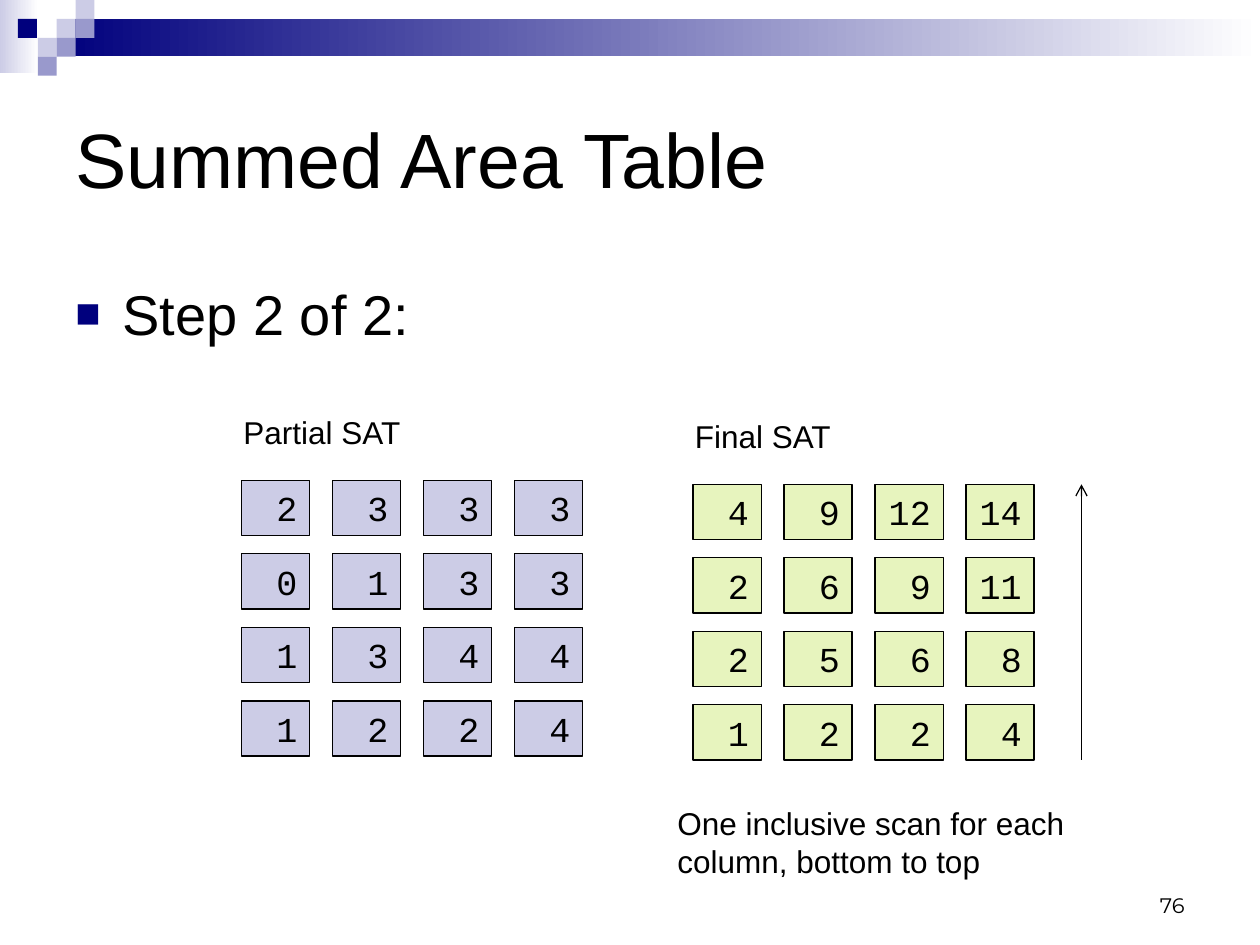
from lxml import etree
from pptx import Presentation
from pptx.dml.color import RGBColor
from pptx.enum.shapes import MSO_CONNECTOR, MSO_SHAPE
from pptx.enum.text import MSO_ANCHOR, PP_ALIGN
from pptx.oxml.ns import qn
from pptx.util import Pt

RECTANGLE = MSO_SHAPE.RECTANGLE
STRAIGHT = MSO_CONNECTOR.STRAIGHT
TOP, MIDDLE, BOTTOM = MSO_ANCHOR.TOP, MSO_ANCHOR.MIDDLE, MSO_ANCHOR.BOTTOM
LEFT, RIGHT = PP_ALIGN.LEFT, PP_ALIGN.RIGHT

BLACK, WHITE = "000000", "FFFFFF"
NAVY, PERIWINKLE, LAVENDER, LIME = "00007D", "9999CC", "CCCCE6", "E7F4BE"
CELL_WIDTH, CELL_HEIGHT = 39, 31.5
COLUMN_STEP, ROW_STEP = 52, 42
GRID_WIDTH = 3 * COLUMN_STEP + CELL_WIDTH
GRID_HEIGHT = 3 * ROW_STEP + CELL_HEIGHT

PARTIAL_SUMS = [[2, 3, 3, 3], [0, 1, 3, 3], [1, 3, 4, 4], [1, 2, 2, 4]]
FINAL_SUMS = [[4, 9, 12, 14], [2, 6, 9, 11], [2, 5, 6, 8], [1, 2, 2, 4]]


def color(hex_value):
    return RGBColor.from_string(hex_value)


def block(slide, box, fill, fade_to=None):
    rect = slide.shapes.add_shape(RECTANGLE, *map(Pt, box))
    rect.shadow.inherit = False
    rect.line.fill.background()
    if fade_to:
        rect.fill.gradient()
        rect.fill.gradient_angle = 0
        for stop, shade in zip(rect.fill.gradient_stops, (fill, fade_to)):
            stop.color.rgb = color(shade)
    else:
        rect.fill.solid()
        rect.fill.fore_color.rgb = color(fill)
    return rect


def write(holder, words, size, font="Arial", align=LEFT, anchor=TOP, wrap=True):
    frame = holder.text_frame
    frame.text = words
    frame.word_wrap = wrap
    frame.vertical_anchor = anchor
    for paragraph in frame.paragraphs:
        paragraph.alignment = align
        for run in paragraph.runs:
            run.font.size = Pt(size)
            run.font.name = font
            run.font.color.rgb = color(BLACK)
    return frame


def label(slide, box, words, size, **style):
    return write(slide.shapes.add_textbox(*map(Pt, box)), words, size, **style)


def banner(slide, left, top, width):
    unit = 10.8
    block(slide, (left, top, 22, 42), LAVENDER, WHITE)
    block(slide, (left + 3 * unit, top + unit, width - 3 * unit, 21.5), NAVY, WHITE)
    tiles = [(3, 1, LAVENDER), (4, 0, LAVENDER), (4, 1, PERIWINKLE), (2, 2, LAVENDER),
             (0.95, 1, NAVY), (3, 2, PERIWINKLE), (2, 3, PERIWINKLE)]
    for column, row, fill in tiles:
        block(slide, (left + column * unit, top + row * unit, unit, unit), fill)


def step_bullet(slide, box, words):
    step = label(slide, box, words, 32).paragraphs[0]
    step.space_before = Pt(6.4)
    properties = step._p.get_or_add_pPr()
    properties.set("marL", str(Pt(27)))
    properties.set("indent", str(-Pt(27)))
    bullet_color = etree.SubElement(properties, qn("a:buClr"))
    etree.SubElement(bullet_color, qn("a:srgbClr"), val=NAVY)
    etree.SubElement(properties, qn("a:buSzPct"), val="75000")
    etree.SubElement(properties, qn("a:buFont"), typeface="Arial")
    etree.SubElement(properties, qn("a:buChar"), char="■")


def sum_grid(slide, left, top, heading, sums, fill):
    label(slide, (left - 6, top - 42, 106, 29), heading, 18, wrap=False)
    for row, values in enumerate(sums):
        for column, value in enumerate(values):
            cell = block(slide, (left + column * COLUMN_STEP, top + row * ROW_STEP,
                                 CELL_WIDTH, CELL_HEIGHT), fill)
            cell.line.color.rgb = color(BLACK)
            cell.line.width = Pt(0.75)
            frame = write(cell, str(value), 20, "Courier New", RIGHT, MIDDLE)
            frame.margin_left = 0


def scan_arrow(slide, x, bottom, top):
    arrow = slide.shapes.add_connector(STRAIGHT, Pt(x), Pt(bottom), Pt(x), Pt(top))
    arrow.line.color.rgb = color(BLACK)
    arrow.line.width = Pt(0.75)
    etree.SubElement(arrow.line._get_or_add_ln(), qn("a:tailEnd"), type="arrow")
    etree.SubElement(arrow._element.spPr, qn("a:effectLst"))


def final_table(slide, left, top):
    sum_grid(slide, left, top, "Final SAT", FINAL_SUMS, LIME)
    scan_arrow(slide, left + GRID_WIDTH + 27, top + GRID_HEIGHT, top)
    label(slide, (left - 16, top + GRID_HEIGHT + 21.5, 238, 51),
          "One inclusive scan for each\ncolumn, bottom to top", 18, wrap=False)


def summed_area_slide(deck):
    slide = deck.slides.add_slide(deck.slide_layouts[6])
    banner(slide, 0, 0, 720)
    label(slide, (36, 36, 648, 108), "Summed Area Table", 44, anchor=MIDDLE)
    step_bullet(slide, (36, 156, 210, 40), "Step 2 of 2:")
    sum_grid(slide, 138, 274.5, "Partial SAT", PARTIAL_SUMS, LAVENDER)
    final_table(slide, 396, 276.75)
    label(slide, (516, 492, 168, 36), "76", 12, font="Montserrat", align=RIGHT, anchor=BOTTOM)


deck = Presentation()
deck.slide_width, deck.slide_height = Pt(720), Pt(540)
summed_area_slide(deck)
deck.save("out.pptx")
